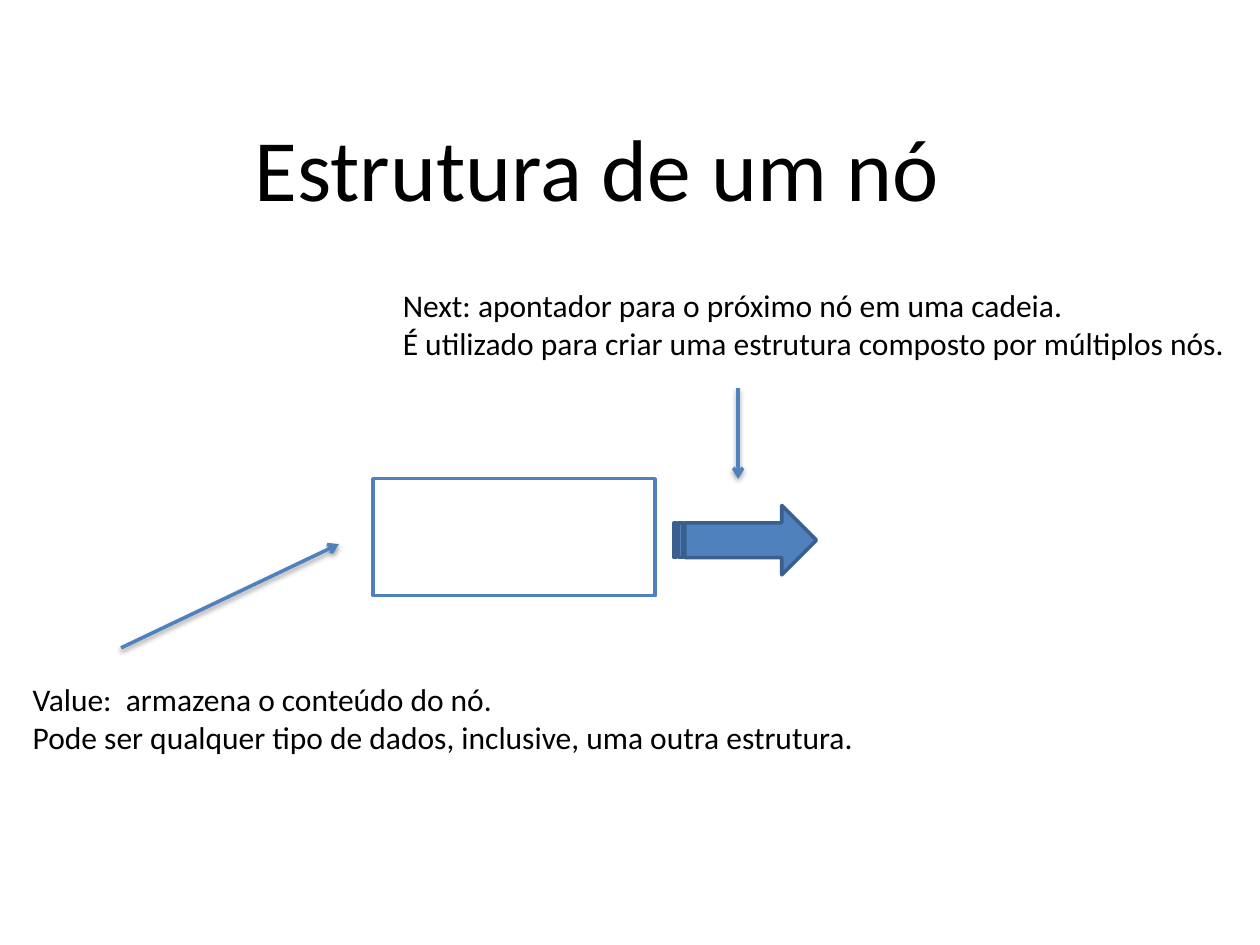
from lxml.etree import SubElement
from pptx import Presentation
from pptx.dml.color import RGBColor
from pptx.enum.shapes import MSO_CONNECTOR as Link, MSO_SHAPE as Kind
from pptx.enum.text import MSO_ANCHOR as Anchor, MSO_AUTO_SIZE as Fit, PP_ALIGN as Align
from pptx.oxml.ns import qn
from pptx.util import Cm, Pt

BLACK = RGBColor(0x00, 0x00, 0x00)
WHITE = RGBColor(0xFF, 0xFF, 0xFF)
BLUE = RGBColor(0x4F, 0x81, 0xBD)
NAVY = RGBColor(0x3A, 0x5F, 0x8C)
FONT = "Calibri"


def place(shape, left, top, width, height):
    shape.left, shape.top = Cm(left), Cm(top)
    shape.width, shape.height = Cm(width), Cm(height)


def write(shape, lines, size):
    frame = shape.text_frame
    frame.word_wrap = False
    frame.auto_size = Fit.SHAPE_TO_FIT_TEXT
    frame.vertical_anchor = Anchor.TOP
    for i, line in enumerate(lines):
        para = frame.paragraphs[0] if i == 0 else frame.add_paragraph()
        para.alignment = Align.LEFT
        run = para.add_run()
        run.text = line
        run.font.name = FONT
        run.font.size = Pt(size)
        run.font.color.rgb = BLACK


def add_title(slide, text):
    title = slide.shapes.title
    place(title, 4.88, 2.18, 14.5, 2.39)
    write(title, [text], 50)


def add_note(slide, left, top, lines):
    note = slide.shapes.add_textbox(Cm(left), Cm(top), Cm(17.13), Cm(1.8))
    write(note, lines, 18)


def add_block(slide, kind, box, fill, edge):
    block = slide.shapes.add_shape(kind, *map(Cm, box))
    block.shadow.inherit = False
    block.fill.solid()
    block.fill.fore_color.rgb = fill
    block.line.color.rgb = edge
    block.line.width = Pt(2)


def add_arrow(slide, start, end):
    """Draw a line with an open head at its end and a soft shadow below."""
    arrow = slide.shapes.add_connector(Link.STRAIGHT, *map(Cm, start + end))
    arrow.line.color.rgb = BLUE
    arrow.line.width = Pt(2)
    props = arrow.element.spPr
    SubElement(props.find(qn("a:ln")), qn("a:tailEnd"), type="arrow")
    effects = SubElement(props, qn("a:effectLst"))
    shade = SubElement(effects, qn("a:outerShdw"), blurRad=str(Pt(3.1)),
                       dist=str(Pt(1.6)), dir="5400000", rotWithShape="0")
    color = SubElement(shade, qn("a:srgbClr"), val=str(BLACK))
    SubElement(color, qn("a:alpha"), val="38000")


def main():
    deck = Presentation()
    deck.slide_width, deck.slide_height = Cm(25.4), Cm(19.05)
    slide = deck.slides.add_slide(deck.slide_layouts[5])

    add_title(slide, "Estrutura de um nó")
    add_block(slide, Kind.RECTANGLE, (7.52, 9.65, 5.69, 2.36), WHITE, BLUE)
    add_block(slide, Kind.STRIPED_RIGHT_ARROW, (13.59, 10.19, 2.87, 1.4), BLUE, NAVY)
    add_note(slide, 0.41, 13.59, [
        "Value:  armazena o conteúdo do nó.",
        "Pode ser qualquer tipo de dados, inclusive, uma outra estrutura.",
    ])
    add_arrow(slide, (2.44, 13.06), (6.83, 10.97))
    add_note(slide, 7.87, 5.64, [
        "Next: apontador para o próximo nó em uma cadeia.",
        "É utilizado para criar uma estrutura composto por múltiplos nós.",
    ])
    add_arrow(slide, (14.88, 7.82), (14.88, 9.65))
    deck.save("out.pptx")


if __name__ == "__main__":
    main()
